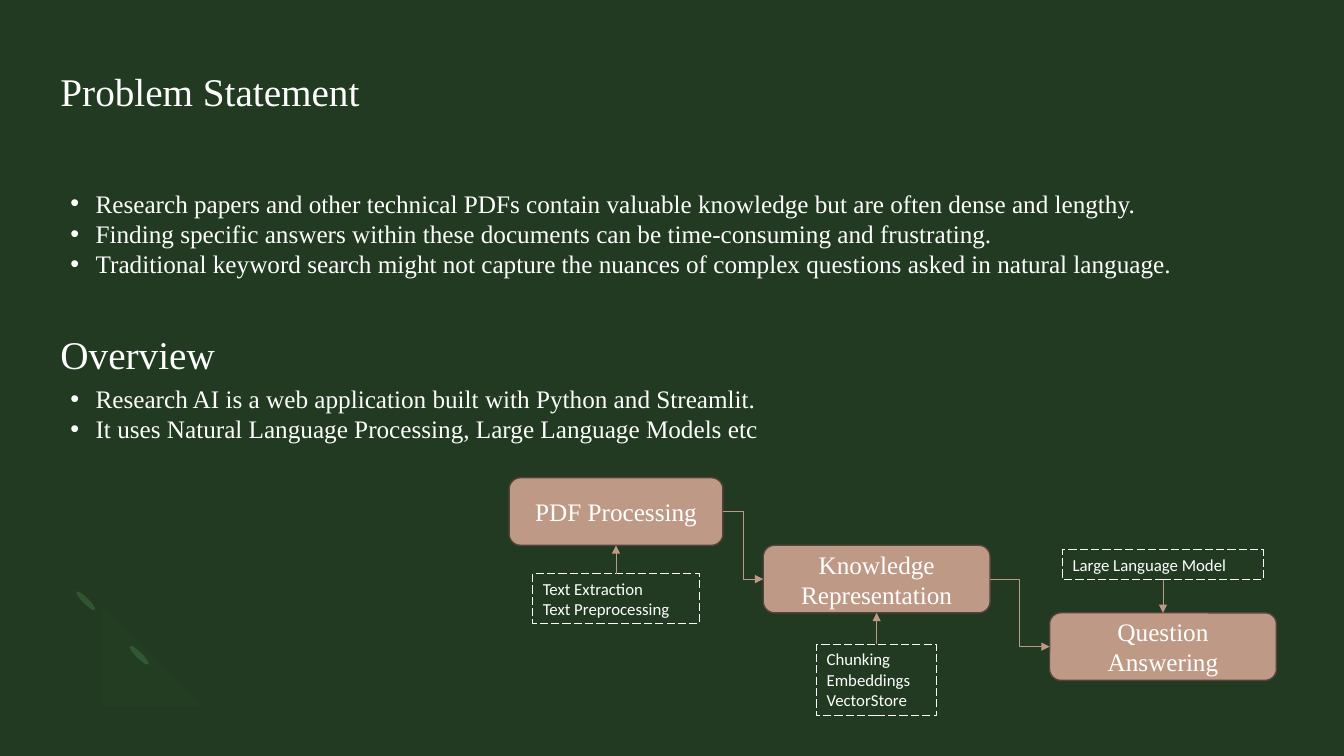
from lxml.etree import SubElement
from pptx import Presentation
from pptx.dml.color import RGBColor
from pptx.enum.dml import MSO_LINE
from pptx.enum.shapes import MSO_CONNECTOR as LINK, MSO_SHAPE as SHAPE
from pptx.enum.text import MSO_ANCHOR as ANCHOR, PP_ALIGN as ALIGN
from pptx.oxml.ns import qn
from pptx.util import Inches, Pt

FOREST = RGBColor(0x21, 0x3A, 0x21)
LEAF = RGBColor(0x30, 0x55, 0x30)
MIST = RGBColor(0x79, 0xB3, 0x79)
CLAY = RGBColor(0xBE, 0x9A, 0x86)
BROWN = RGBColor(0x53, 0x43, 0x3B)
WHITE = RGBColor(0xFF, 0xFF, 0xFF)

SERIF, SANS = "Times New Roman", "Calibri"
TOP, LEFT, BOTTOM, RIGHT = range(4)  # connection sites
STEP_TOP, STEP_HEIGHT = 4.74, 0.67


def bezier(start, first, second, end, count=12):
    """Points along a cubic curve, without its start."""
    points = []
    for index in range(1, count + 1):
        t = index / count
        weights = ((1 - t) ** 3, 3 * t * (1 - t) ** 2, 3 * t * t * (1 - t), t ** 3)
        corners = zip(start, first, second, end)
        points.append(tuple(sum(w * v for w, v in zip(weights, axis)) for axis in corners))
    return points


class SlideBuilder:
    """Holds the style and the current slide."""

    heading = {"size": Pt(28), "name": SERIF}
    body = {"size": Pt(18), "name": SERIF}
    note_text = {"size": Pt(12), "name": SANS}

    def __init__(self, deck):
        self.page = deck.slides.add_slide(deck.slide_layouts[6])
        self.page.background.fill.solid()
        self.page.background.fill.fore_color.rgb = FOREST
        self.shapes = self.page.shapes

    def set_text(self, box, lines, style, align=ALIGN.LEFT, bullet=False, **frame_format):
        frame = box.text_frame
        settings = {"word_wrap": True, "vertical_anchor": ANCHOR.MIDDLE, **frame_format}
        for key, value in settings.items():
            setattr(frame, key, value)
        for index, line in enumerate(lines):
            para = frame.paragraphs[0] if index == 0 else frame.add_paragraph()
            para.alignment = align
            span = para.add_run()
            span.text = line
            span.font.color.rgb = WHITE
            for key, value in style.items():
                setattr(span.font, key, value)
            if bullet:
                props = para._p.get_or_add_pPr()
                props.set("marL", str(Inches(0.25)))
                props.set("indent", str(Inches(-0.25)))
                SubElement(props, qn("a:buFont"), typeface="Arial")
                SubElement(props, qn("a:buChar"), char="•")

    def title(self, text, top):
        box = self.shapes.add_textbox(Inches(0.6), Inches(top), Inches(3.17), Inches(0.6))
        margins = dict.fromkeys(
            ("margin_left", "margin_top", "margin_right", "margin_bottom"), 0)
        self.set_text(box, [text], self.heading, **margins)

    def bullets(self, lines, top, height):
        box = self.shapes.add_textbox(Inches(0.6), Inches(top), Inches(11.81), Inches(height))
        self.set_text(box, lines, self.body, bullet=True)

    def shape(self, kind, left, top, width, height, fill=None, line=None, weight=1):
        box = self.shapes.add_shape(
            kind, Inches(left), Inches(top), Inches(width), Inches(height))
        self.paint(box, fill, line, weight)
        return box

    def paint(self, box, fill, line=None, weight=1):
        box.shadow.inherit = False
        for part, colour in ((box.fill, fill), (box.line.fill, line)):
            if colour is None:
                part.background()
            else:
                part.solid()
                part.fore_color.rgb = colour
        if line is not None:
            box.line.width = Pt(weight)

    def leaf(self, left, top):
        self.shape(SHAPE.OVAL, left, top, 0.06, 0.26, LEAF).rotation = 135

    def arc(self, points, colour, opacity):
        builder = self.shapes.build_freeform(*points[0], scale=Inches(1))
        builder.add_line_segments(points[1:], close=True)
        band = builder.convert_to_shape()
        self.paint(band, colour)
        tint = band._element.spPr.find(qn("a:solidFill"))[0]
        SubElement(tint, qn("a:alpha"), val=str(opacity * 1000))

    def step(self, lines, left, top, width):
        box = self.shape(SHAPE.ROUNDED_RECTANGLE, left, top, width, STEP_HEIGHT, CLAY, BROWN)
        self.set_text(box, lines, self.body, ALIGN.CENTER)
        return box

    def note(self, lines, left, top, width, height):
        box = self.shape(SHAPE.RECTANGLE, left, top, width, height, None, WHITE, 0.75)
        box.line.dash_style = MSO_LINE.LONG_DASH
        self.set_text(box, lines, self.note_text, vertical_anchor=ANCHOR.TOP)
        return box

    def arrow(self, kind, source, source_site, target, target_site):
        link = self.shapes.add_connector(kind, 0, 0, 0, 0)
        link.begin_connect(source, source_site)
        link.end_connect(target, target_site)
        link.line.color.rgb = CLAY
        link.line.width = Pt(0.5)
        props = link._element.spPr
        SubElement(props.find(qn("a:ln")), qn("a:tailEnd"), type="triangle")
        SubElement(props, qn("a:effectLst"))


def main():
    deck = Presentation()
    deck.slide_width, deck.slide_height = Inches(13.33), Inches(7.5)
    slide = SlideBuilder(deck)

    # Leaf decoration
    slide.leaf(1.35, 6.37)
    slide.leaf(0.82, 5.83)
    outline = [
        (0.76, 6.59),
        *bezier((0.76, 6.59), (0.56, 6.39), (0.58, 6.05), (0.81, 5.82)),
        (0.99, 6),
        *bezier((0.99, 6), (0.87, 6.11), (0.86, 6.29), (0.96, 6.38)),
        *bezier((0.96, 6.38), (1.06, 6.48), (1.23, 6.47), (1.35, 6.36)),
        (1.52, 6.54),
        *bezier((1.52, 6.54), (1.3, 6.76), (0.95, 6.79), (0.76, 6.59)),
    ]
    slide.arc(outline, MIST, 3)

    # Headings and bullet lists
    slide.title("Problem Statement", 0.6)
    slide.bullets([
        "Research papers and other technical PDFs contain valuable knowledge but are often dense and lengthy.",
        "Finding specific answers within these documents can be time-consuming and frustrating.",
        "Traditional keyword search might not capture the nuances of complex questions asked in natural language.",
    ], 1.81, 1.01)
    slide.title("Overview", 3.21)
    slide.bullets([
        "Research AI is a web application built with Python and Streamlit.",
        "It uses Natural Language Processing, Large Language Models etc",
    ], 3.75, 0.71)

    # Pipeline: step lines, left, width; note lines, top, width, height
    pipeline = [
        (["PDF Processing"], 5.05, 2.12,
         ["Text Extraction", "Text Preprocessing"], 5.69, 1.65, 0.5),
        (["Knowledge", "Representation"], 7.57, 2.25,
         ["Chunking", "Embeddings", "VectorStore"], 6.39, 1.19, 0.71),
        (["Question", "Answering"], 10.41, 2.25,
         ["Large Language Model"], 5.45, 1.99, 0.3),
    ]
    previous = None
    for index, (name, left, width, details, note_top, note_width, note_height) in enumerate(pipeline):
        top = STEP_TOP + index * STEP_HEIGHT
        step = slide.step(name, left, top, width)
        note_left = left + (width - note_width) / 2
        note = slide.note(details, note_left, note_top, note_width, note_height)
        if note_top > top:
            slide.arrow(LINK.STRAIGHT, note, TOP, step, BOTTOM)
        else:
            slide.arrow(LINK.STRAIGHT, note, BOTTOM, step, TOP)
        if previous is not None:
            slide.arrow(LINK.ELBOW, previous, RIGHT, step, LEFT)
        previous = step

    deck.save("out.pptx")


if __name__ == "__main__":
    main()
